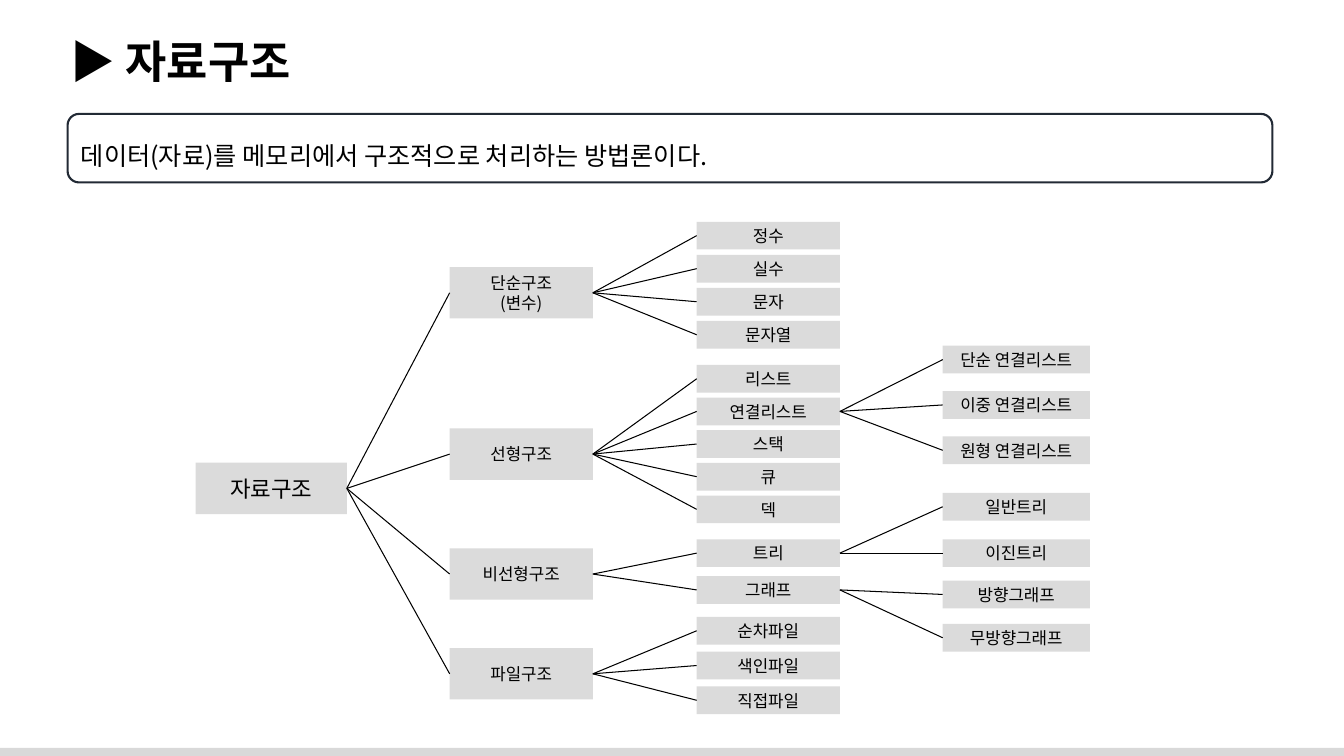
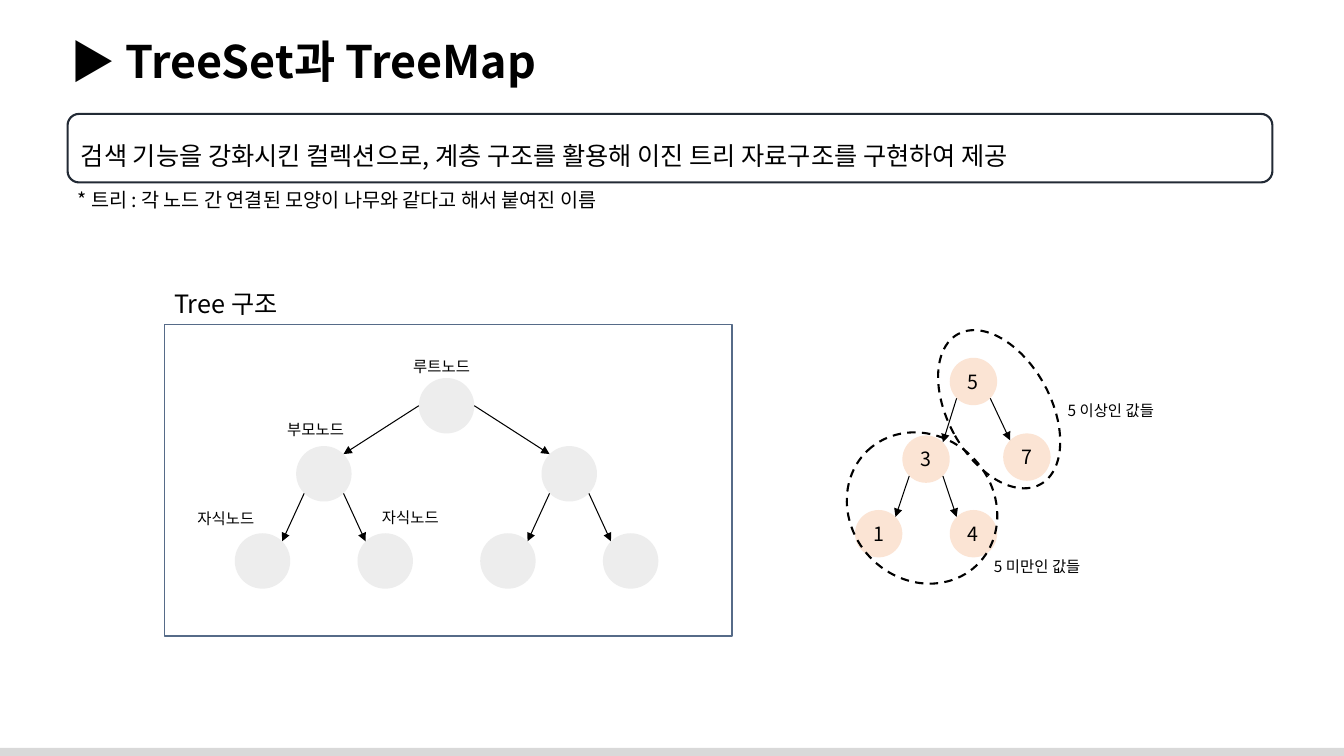
from dataclasses import dataclass

from lxml import etree
from pptx import Presentation
from pptx.dml.color import RGBColor
from pptx.enum.dml import MSO_LINE
from pptx.enum.shapes import MSO_CONNECTOR, MSO_SHAPE
from pptx.enum.text import MSO_ANCHOR, MSO_AUTO_SIZE, PP_ALIGN
from pptx.oxml.ns import qn
from pptx.util import Inches, Pt

RECT, ROUND, OVAL = MSO_SHAPE.RECTANGLE, MSO_SHAPE.ROUNDED_RECTANGLE, MSO_SHAPE.OVAL
LEFT, CENTER = PP_ALIGN.LEFT, PP_ALIGN.CENTER
TOP, MIDDLE = MSO_ANCHOR.TOP, MSO_ANCHOR.MIDDLE
STRAIGHT, DASH, FIXED = MSO_CONNECTOR.STRAIGHT, MSO_LINE.DASH, MSO_AUTO_SIZE.NONE
COLS, ROWS, UNIT = 133.3, 75, Inches(0.1)
DIAG = 0.71


@dataclass(frozen=True)
class Theme:
    """Colours and type sizes of the deck."""
    font: str = "Noto Sans CJK KR"
    ink: str = "000000"
    band: str = "D9D9D9"
    frame: str = "222A35"
    panel: str = "566B88"
    block: str = "DBDBDB"
    node: str = "EDEDED"
    value: str = "FBE4D4"
    title: int = 32
    lead: int = 18
    root: int = 16
    note: int = 14
    item: int = 12
    label: int = 11


@dataclass(frozen=True)
class Box:
    """A region measured in grid columns and rows."""
    x: float
    y: float
    w: float
    h: float

    def sub(self, x, y, w, h):
        """Return a box placed relative to this one."""
        return Box(self.x + x, self.y + y, w, h)

    def emu(self):
        """Return left, top, width and height as lengths."""
        return [int(n * UNIT) for n in (self.x, self.y, self.w, self.h)]


THEME = Theme()
TITLE = Box(6, 2.8, 126, 6.4)
LEAD = Box(6.7, 11.3, 119.5, 6.8)
BAND = Box(0, 74.2, COLS, 0.8)

LEVELS = [(0, 15, 5.1), (25.2, 14.2, 5.1), (49.7, 14.2, 2.75), (74.1, 14.6, 2.75)]


def stack(top, step, *names):
    """Pair names with evenly spaced tops."""
    return [(name, top + i * step) for i, name in enumerate(names)]


KINDS = {
    "자료구조": [("단순구조\n(변수)", 4.5), ("선형구조", 20.5),
             ("비선형구조", 32.4), ("파일구조", 42.3)],
    "단순구조\n(변수)": stack(0, 3.28, "정수", "실수", "문자", "문자열"),
    "선형구조": stack(14.2, 3.24, "리스트", "연결리스트", "스택", "큐", "덱"),
    "비선형구조": stack(31.5, 3.65, "트리", "그래프"),
    "파일구조": stack(39.2, 3.45, "순차파일", "색인파일", "직접파일"),
    "연결리스트": stack(12.3, 4.5, "단순 연결리스트", "이중 연결리스트", "원형 연결리스트"),
    "트리": stack(26.9, 4.6, "일반트리", "이진트리"),
    "그래프": stack(35.6, 4.3, "방향그래프", "무방향그래프"),
}
ROLES = [("루트노드", 23.7, 2.7), ("부모노드", 11.2, 9),
         ("자식노드", 2.3, 17.8), ("자식노드", 20.6, 17.7)]
VALUES = {"5": (10.6, 3.4), "3": (5.9, 11.1), "7": (15.9, 10.9),
          "1": (1.2, 18.5), "4": (10.6, 18.5)}
EDGES = [("5", "3", -1), ("5", "7", 1), ("3", "1", -1), ("3", "4", 1)]
LOOPS = [(0, 11.2, 15.7, 14.2, 46.6), (10.4, 0, 10.2, 17, 331.3)]
RANGES = [("5 이상인 값들", 21.3, 7.2), ("5 미만인 값들", 14, 22.7)]


def rgb(code):
    """Turn a hex code into a colour."""
    return RGBColor.from_string(code)


def write(shape, text, size=THEME.item, bold=False, align=LEFT, anchor=TOP, space=1.0):
    """Fill a shape with formatted text, a paragraph for each line."""
    frame = shape.text_frame
    frame.word_wrap, frame.auto_size = True, FIXED
    frame.vertical_anchor = anchor
    frame.text = text
    for para in frame.paragraphs:
        para.alignment, para.line_spacing = align, space
        for run in para.runs:
            font = run.font
            font.size, font.bold, font.name = Pt(size), bold, THEME.font
            font.color.rgb = rgb(THEME.ink)
            etree.SubElement(font._element, qn("a:ea"), typeface=THEME.font)


def draw(slide, kind, box, fill=None, line=None, width=1.5):
    """Add a flat shape with an optional fill and outline."""
    shape = slide.shapes.add_shape(kind, *box.emu())
    shape.shadow.inherit = False
    if fill:
        shape.fill.solid()
        shape.fill.fore_color.rgb = rgb(fill)
    else:
        shape.fill.background()
    if line:
        shape.line.color.rgb, shape.line.width = rgb(line), Pt(width)
    else:
        shape.line.fill.background()
    return shape


def label(slide, text, box, size=THEME.label):
    """Add a plain text box."""
    write(slide.shapes.add_textbox(*box.emu()), text, size=size)


def rim(shape, dx, dy):
    """Return the point at a share of the half size from the centre."""
    return (int(shape.left + shape.width * (1 + dx) / 2),
            int(shape.top + shape.height * (1 + dy) / 2))


def link(slide, start, end, arrow=False):
    """Join two points with a thin line."""
    wire = slide.shapes.add_connector(STRAIGHT, *start, *end)
    wire.line.color.rgb, wire.line.width = rgb(THEME.ink), Pt(0.75)
    props = wire.element.spPr
    if arrow:
        etree.SubElement(props.find(qn("a:ln")), qn("a:tailEnd"), type="triangle")
    etree.SubElement(props, qn("a:effectLst"))


def descend(slide, up, down, side, flat=False):
    """Draw an arrow from a parent circle to its left or right child."""
    start = (side, 0) if flat else (side * DIAG, DIAG)
    link(slide, rim(up, *start), rim(down, -side * DIAG, -DIAG), arrow=True)


def dress(slide, layout):
    """Put the title place and the bottom band on the layout."""
    title = layout.placeholders[0]
    title.left, title.top, title.width, title.height = TITLE.emu()
    band = draw(slide, RECT, BAND, fill=THEME.band).element
    band.nvSpPr.cNvPr.set("id", "90")
    layout.shapes.element.append(band)


def head(slide, title, lead):
    """Write the title and the framed definition."""
    write(slide.shapes.title, "▶ " + title, size=THEME.title, bold=True)
    frame = draw(slide, ROUND, LEAD, line=THEME.frame)
    frame.adjustments[0] = 0.167
    write(frame, lead, size=THEME.lead, anchor=MIDDLE, space=1.5)


def branch(slide, box, name, top, depth=0):
    """Draw a block, its children and the lines between them."""
    x, wide, high = LEVELS[depth]
    block = draw(slide, RECT, box.sub(x, top, wide, high), fill=THEME.block)
    size = THEME.item if depth else THEME.root
    write(block, name, size=size, align=CENTER, anchor=MIDDLE)
    for kid, row in KINDS.get(name, []):
        child = branch(slide, box, kid, row, depth + 1)
        link(slide, rim(block, 1, 0), rim(child, -1, 0))
    return block


def binary(slide, box):
    """Draw the framed binary tree with its node names."""
    draw(slide, RECT, box, line=THEME.panel, width=1)
    label(slide, "Tree 구조", box.sub(0, -4.1, 20, 4), size=THEME.lead)
    above = []
    for depth, row in enumerate((5.3, 12.05, 20.7)):
        pitch = 48.68 / 2 ** depth
        nodes = [draw(slide, OVAL, box.sub(0.9 + pitch * (i + 0.5), row, 5.5, 5.5),
                      fill=THEME.node) for i in range(2 ** depth)]
        if above:
            for i, node in enumerate(nodes):
                descend(slide, above[i // 2], node, 2 * (i % 2) - 1, flat=depth == 1)
        above = nodes
    for text, x, y in ROLES:
        label(slide, text, box.sub(x, y, 10, 2.9))


def sorted_tree(slide, box):
    """Draw the tree of values with its two dashed ranges."""
    nodes = {}
    for text, (x, y) in VALUES.items():
        nodes[text] = draw(slide, OVAL, box.sub(x, y, 4.7, 4.7), fill=THEME.value)
        write(nodes[text], text, size=THEME.note, align=CENTER, anchor=MIDDLE)
    for up, down, side in EDGES:
        descend(slide, nodes[up], nodes[down], side)
    for *place, turn in LOOPS:
        loop = draw(slide, OVAL, box.sub(*place), line=THEME.ink)
        loop.rotation, loop.line.dash_style = turn, DASH
    for text, x, y in RANGES:
        label(slide, text, box.sub(x, y, 13, 2.9))


def main():
    """Build and save the deck."""
    deck = Presentation()
    deck.slide_width, deck.slide_height = int(COLS * UNIT), ROWS * UNIT
    layout = deck.slide_layouts[5]
    kinds, trees = [deck.slides.add_slide(layout) for _ in range(2)]
    dress(kinds, layout)

    head(kinds, "자료구조", "데이터(자료)를 메모리에서 구조적으로 처리하는 방법론이다.")
    branch(kinds, Box(19.4, 22, 88.7, 48.8), "자료구조", 23.9)

    head(trees, "TreeSet과 TreeMap",
         "검색 기능을 강화시킨 컬렉션으로, 계층 구조를 활용해 이진 트리 자료구조를 구현하여 제공")
    label(trees, "* 트리 : 각 노드 간 연결된 모양이 나무와 같다고 해서 붙여진 이름",
          Box(6.7, 18.2, 70, 3.4), size=THEME.note)
    binary(trees, Box(16.3, 32.2, 56.3, 30.9))
    sorted_tree(trees, Box(83.6, 32.1, 32.9, 25.6))
    deck.save("out.pptx")


if __name__ == "__main__":
    main()
